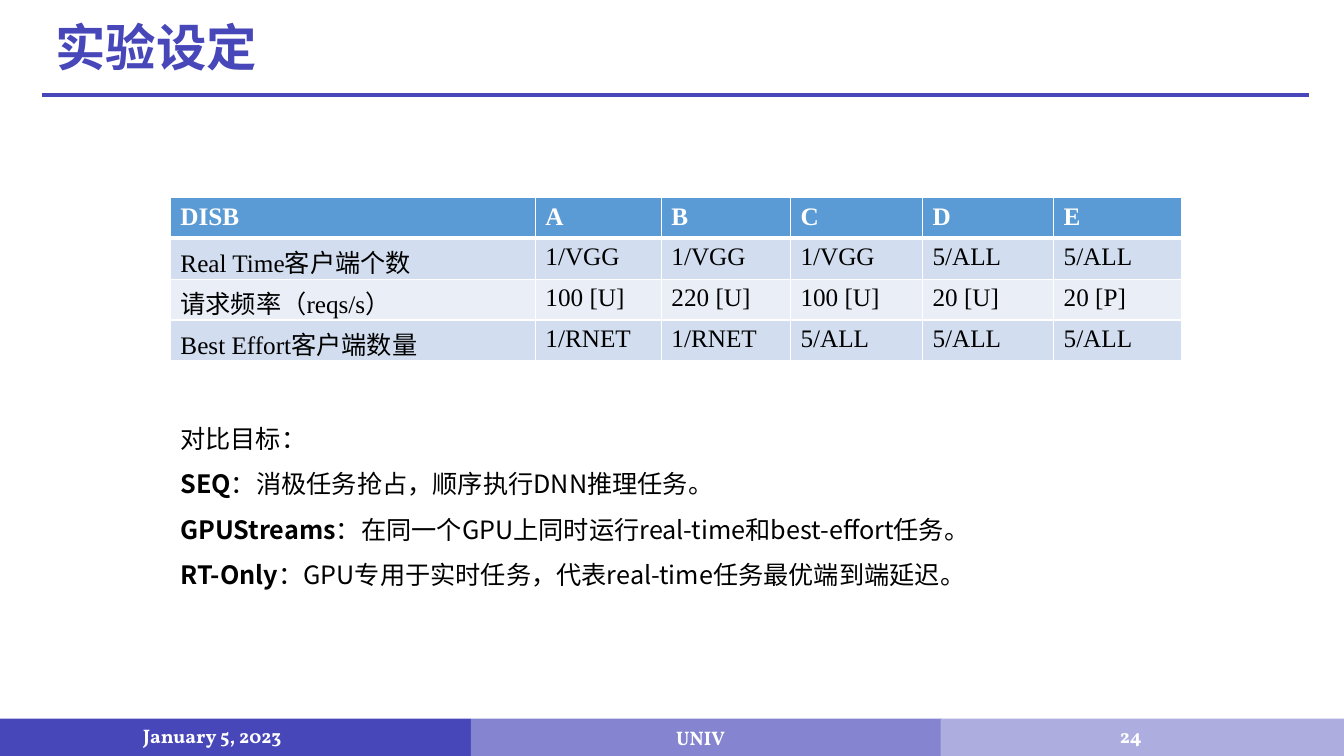
from dataclasses import dataclass

from lxml import etree
from pptx import Presentation
from pptx.dml.color import RGBColor
from pptx.enum.shapes import MSO_CONNECTOR, MSO_SHAPE
from pptx.enum.text import MSO_ANCHOR, PP_ALIGN
from pptx.oxml.ns import qn
from pptx.util import Inches, Pt

RECTANGLE = MSO_SHAPE.RECTANGLE
STRAIGHT = MSO_CONNECTOR.STRAIGHT
TOP, MIDDLE = MSO_ANCHOR.TOP, MSO_ANCHOR.MIDDLE
LEFT, CENTER = PP_ALIGN.LEFT, PP_ALIGN.CENTER

COLORS = {
    "indigo": "4747BA",
    "violet": "8484D1",
    "lavender": "ADADE0",
    "white": "FFFFFF",
    "black": "000000",
    "header": "5B9BD5",
    "odd_row": "D2DEEF",
    "even_row": "EAEFF7",
}
HEADING_FONT = "Vollkorn"
TABLE_FONT = "Times New Roman"
BODY_FONT = "Noto Sans CJK SC"


@dataclass(frozen=True)
class Box:
    left: float
    top: float
    width: float
    height: float

    def lengths(self) -> tuple:
        return tuple(Inches(v) for v in (self.left, self.top, self.width, self.height))


@dataclass(frozen=True)
class FontStyle:
    name: str
    size: int
    color: str
    bold: bool | None = None


@dataclass(frozen=True)
class Band:
    box: Box
    color: str


@dataclass(frozen=True)
class Label:
    text: str
    box: Box
    style: FontStyle
    anchor: MSO_ANCHOR = MIDDLE
    align: PP_ALIGN = CENTER
    line_spacing: float = 1.0
    space_before: int = 0


@dataclass(frozen=True)
class Baseline:
    name: str
    description: str


FOOTER_STYLE = FontStyle(HEADING_FONT, 14, "white", True)
TITLE_STYLE = FontStyle(HEADING_FONT, 36, "indigo", True)
HEADER_STYLE = FontStyle(TABLE_FONT, 18, "white", True)
CELL_STYLE = FontStyle(TABLE_FONT, 18, "black", False)
BODY_STYLE = FontStyle(BODY_FONT, 18, "black")

BANDS = [
    Band(Box(0, 7.13, 4.67, 0.37), "indigo"),
    Band(Box(4.67, 7.13, 4.67, 0.37), "violet"),
    Band(Box(9.33, 7.13, 4, 0.37), "lavender"),
]
LABELS = [
    Label("January 5, 2023", Box(1.32, 7.1, 2.02, 0.4), FOOTER_STYLE, align=LEFT),
    Label("UNIV", Box(4.48, 7.17, 4.94, 0.3), FOOTER_STYLE),
    Label("实验设定", Box(0.45, 0.18, 7.44, 0.65), TITLE_STYLE, TOP, LEFT, 0.9, 10),
    Label("24", Box(10.77, 7, 0.89, 0.6), FOOTER_STYLE),
]
TABLE_BOX = Box(1.69, 1.96, 10.03, 1.62)
COLUMN_WIDTHS = [3.62, 1.25, 1.28, 1.31, 1.3, 1.27]
TABLE_ROWS = [
    ["DISB", "A", "B", "C", "D", "E"],
    ["Real Time客户端个数", "1/VGG", "1/VGG", "1/VGG", "5/ALL", "5/ALL"],
    ["请求频率（reqs/s）", "100 [U]", "220 [U]", "100 [U]", "20 [U]", "20 [P]"],
    ["Best Effort客户端数量", "1/RNET", "1/RNET", "5/ALL", "5/ALL", "5/ALL"],
]
BODY_BOX = Box(1.69, 4, 9.31, 1.87)
BODY_HEADING = "对比目标："
BASELINES = [
    Baseline("SEQ", "：消极任务抢占，顺序执行DNN推理任务。"),
    Baseline("GPUStreams", "：在同一个GPU上同时运行real-time和best-effort任务。"),
    Baseline("RT-Only", "：GPU专用于实时任务，代表real-time任务最优端到端延迟。"),
]


def rgb(color: str) -> RGBColor:
    return RGBColor.from_string(COLORS[color])


def style_paragraph(paragraph, style: FontStyle) -> None:
    font = paragraph.font
    font.name, font.size, font.bold = style.name, Pt(style.size), style.bold
    font.color.rgb = rgb(style.color)
    defaults = paragraph._p.pPr.find(qn("a:defRPr"))
    etree.SubElement(defaults, qn("a:ea"), typeface=BODY_FONT)


def add_band(slide, band: Band) -> None:
    shape = slide.shapes.add_shape(RECTANGLE, *band.box.lengths())
    shape.shadow.inherit = False
    shape.fill.solid()
    shape.fill.fore_color.rgb = rgb(band.color)
    shape.line.fill.background()


def add_text_frame(slide, box: Box, anchor: MSO_ANCHOR):
    frame = slide.shapes.add_textbox(*box.lengths()).text_frame
    frame.word_wrap = True
    frame.vertical_anchor = anchor
    return frame


def add_label(slide, label: Label) -> None:
    paragraph = add_text_frame(slide, label.box, label.anchor).paragraphs[0]
    paragraph.text = label.text
    paragraph.alignment = label.align
    paragraph.line_spacing = label.line_spacing
    paragraph.space_before = Pt(label.space_before)
    style_paragraph(paragraph, label.style)


def add_title_rule(slide) -> None:
    ends = (Inches(v) for v in (0.42, 0.94, 12.98, 0.94))
    connector = slide.shapes.add_connector(STRAIGHT, *ends)
    connector.line.color.rgb = rgb("indigo")
    connector.line.width = Pt(3)
    etree.SubElement(connector._element.spPr, qn("a:effectLst"))


def add_border(cell, side: str, width: float) -> None:
    properties = cell._tc.get_or_add_tcPr()
    line = etree.SubElement(properties, qn(f"a:ln{side}"), w=str(Pt(width)))
    fill = etree.SubElement(line, qn("a:solidFill"))
    etree.SubElement(fill, qn("a:srgbClr"), val=COLORS["white"])


def add_settings_table(slide) -> None:
    size = len(TABLE_ROWS), len(COLUMN_WIDTHS)
    table = slide.shapes.add_table(*size, *TABLE_BOX.lengths()).table
    for column, width in zip(table.columns, COLUMN_WIDTHS):
        column.width = Inches(width)
    for row, texts in enumerate(TABLE_ROWS):
        fill = "header" if row == 0 else "odd_row" if row % 2 else "even_row"
        top_width = 3 if row == 1 else 1
        bottom_width = 3 if row == 0 else 1
        for column, text in enumerate(texts):
            cell = table.cell(row, column)
            for side, width in zip("LRTB", (1, 1, top_width, bottom_width)):
                add_border(cell, side, width)
            cell.fill.solid()
            cell.fill.fore_color.rgb = rgb(fill)
            paragraph = cell.text_frame.paragraphs[0]
            paragraph.text = text
            style_paragraph(paragraph, CELL_STYLE if row else HEADER_STYLE)


def add_baselines(slide) -> None:
    frame = add_text_frame(slide, BODY_BOX, TOP)
    frame.paragraphs[0].text = BODY_HEADING
    for baseline in BASELINES:
        paragraph = frame.add_paragraph()
        for text, bold in ((baseline.name, True), (baseline.description, False)):
            run = paragraph.add_run()
            run.text, run.font.bold = text, bold
    for paragraph in frame.paragraphs:
        paragraph.line_spacing = 1.5
        style_paragraph(paragraph, BODY_STYLE)


def main() -> None:
    presentation = Presentation()
    presentation.slide_width, presentation.slide_height = Inches(13.33), Inches(7.5)
    slide = presentation.slides.add_slide(presentation.slide_layouts[6])
    for band in BANDS:
        add_band(slide, band)
    add_title_rule(slide)
    for label in LABELS:
        add_label(slide, label)
    add_settings_table(slide)
    add_baselines(slide)
    presentation.save("out.pptx")


if __name__ == "__main__":
    main()
